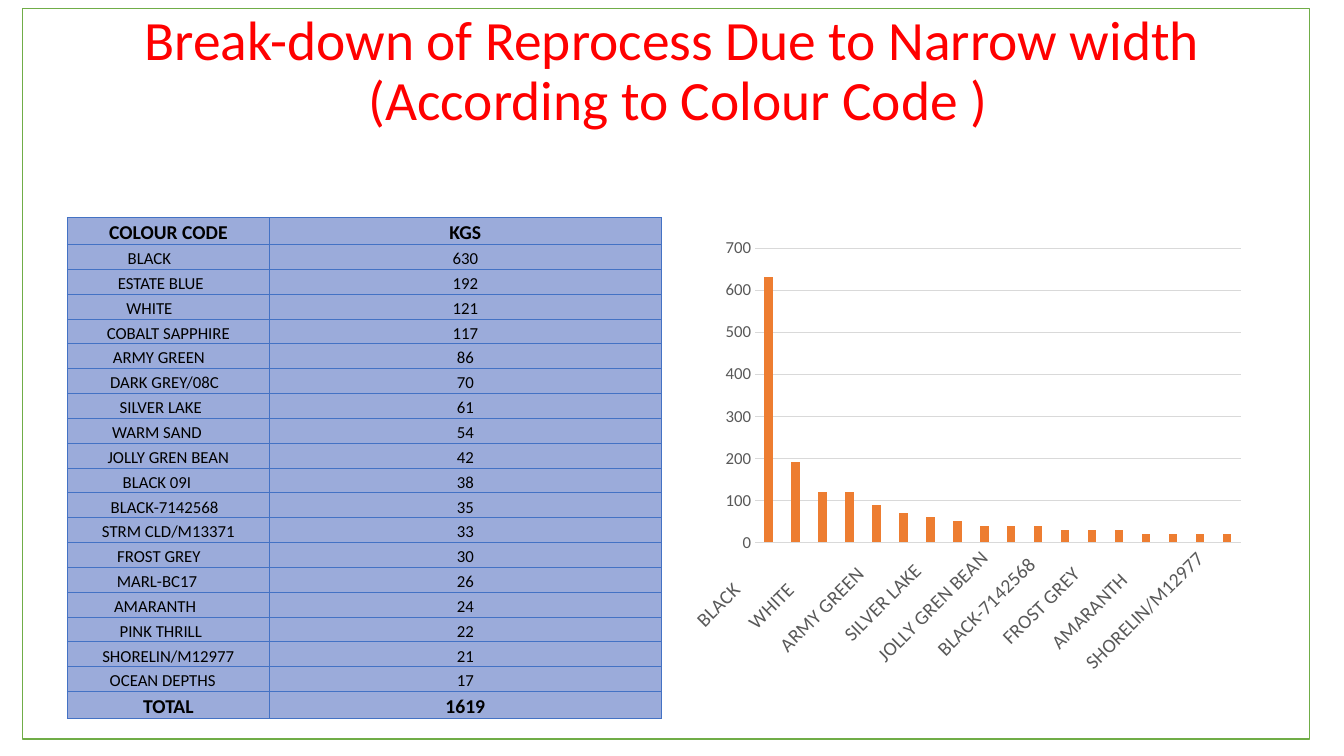
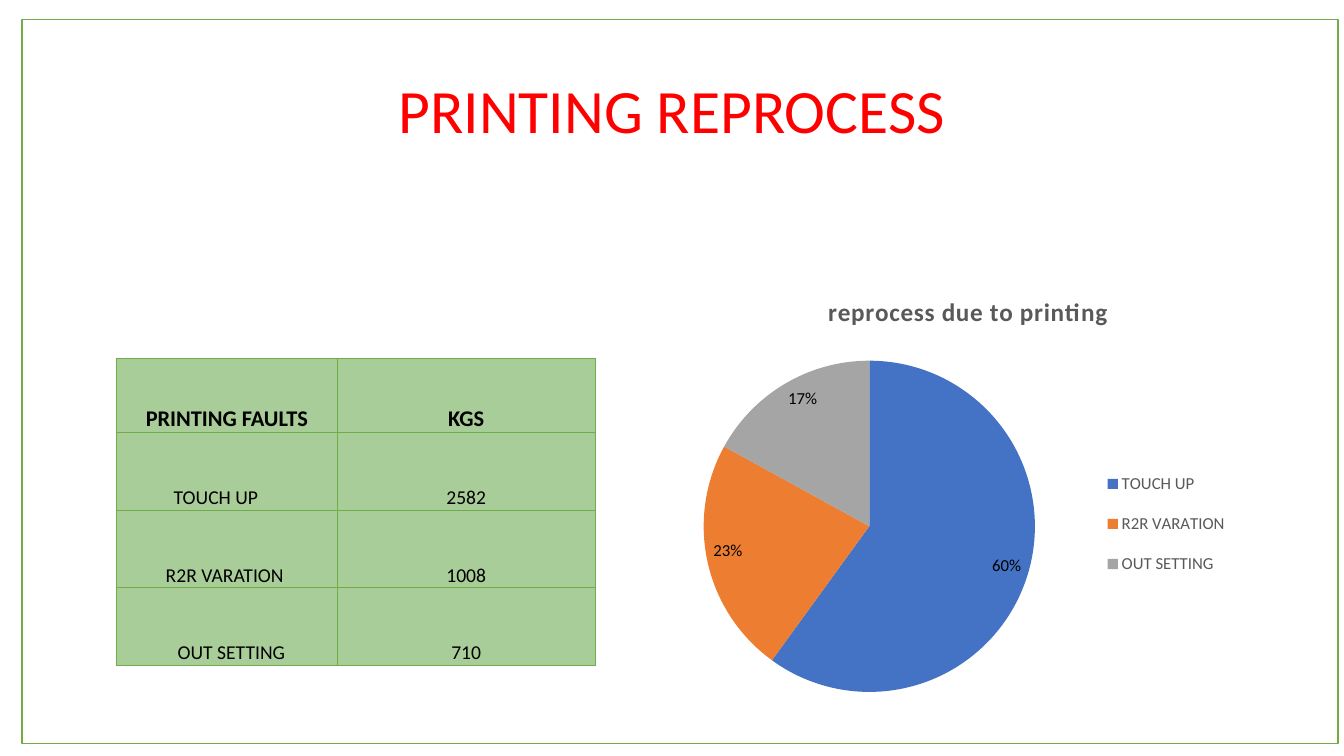
"""Two reprocess slides, each with a framed title, a table and a chart."""
from lxml import etree
from pptx import Presentation
from pptx.chart.data import CategoryChartData
from pptx.dml.color import RGBColor
from pptx.enum import chart as ch, shapes, text
from pptx.oxml.ns import qn
from pptx.util import Pt

FONT = "Calibri"
FIELD = 15
COLORS = dict(title="FF0000", frame="70AD47", black="000000", grey="595959", grid="D9D9D9",
              blue="4472C4", orange="ED7D31", silver="A5A5A5",
              blue_fill="9BABDA", green_fill="A9CD98")

WIDTH_TITLE = ["Break-down of Reprocess Due to Narrow width", " (According to Colour Code )"]
WIDTH_HEAD = ("COLOUR CODE", "KGS")
WIDTH_ROWS = [
    ("BLACK", 630), ("ESTATE BLUE", 192), ("WHITE", 121), ("COBALT SAPPHIRE", 117),
    ("ARMY GREEN", 86), ("DARK GREY/08C", 70), ("SILVER LAKE", 61), ("WARM SAND", 54),
    ("JOLLY GREN BEAN", 42), ("BLACK 09I", 38), ("BLACK-7142568", 35),
    ("STRM CLD/M13371", 33), ("FROST GREY", 30), ("MARL-BC17", 26), ("AMARANTH", 24),
    ("PINK THRILL", 22), ("SHORELIN/M12977", 21), ("OCEAN DEPTHS", 17),
]
WIDTH_TOTAL = ("TOTAL", 1619)

PRINT_TITLE = ["PRINTING REPROCESS"]
PRINT_HEAD = ("PRINTING FAULTS", "KGS")
PRINT_ROWS = [("TOUCH UP", 2582), ("R2R VARATION", 1008), ("OUT SETTING", 710)]
PRINT_CHART_TITLE = "reprocess due to printing"


def rgb(name):
    return RGBColor.from_string(COLORS[name])


def style(font, size, color="black", bold=False):
    font.name, font.size, font.bold = FONT, Pt(size), bold
    font.color.rgb = rgb(color)


def write(tf, lines, size, color="black", bold=False, line_spacing=None, spacing=None):
    for i, line in enumerate(lines):
        p = tf.paragraphs[0] if i == 0 else tf.add_paragraph()
        p.alignment = text.PP_ALIGN.CENTER
        if line_spacing:
            p.line_spacing = line_spacing
        r = p.add_run()
        r.text = line
        style(r.font, size, color, bold)
        if spacing:
            r._r.get_or_add_rPr().set("spc", str(spacing))


def add_slide(prs, lines, size, title_box, frame_box):
    s = prs.slides.add_slide(prs.slide_layouts[6])
    frame = s.shapes.add_shape(shapes.MSO_SHAPE.RECTANGLE, *map(Pt, frame_box))
    frame.shadow.inherit = False
    frame.fill.background()
    frame.line.color.rgb = rgb("frame")
    frame.line.width = Pt(1)
    tf = s.shapes.add_textbox(*map(Pt, title_box)).text_frame
    tf.word_wrap = True
    tf.vertical_anchor = text.MSO_ANCHOR.MIDDLE
    write(tf, lines, size, "title", line_spacing=0.9)
    return s


def add_borders(cell, color):
    tc_pr = cell._tc.get_or_add_tcPr()
    for side in ("lnL", "lnR", "lnT", "lnB"):
        ln = etree.SubElement(tc_pr, qn(f"a:{side}"), w=str(Pt(0.5)))
        fill = etree.SubElement(ln, qn("a:solidFill"))
        etree.SubElement(fill, qn("a:srgbClr"), val=COLORS[color])


def add_table(s, rows, left, top, widths, heights, sizes, bold_rows, fill, border, label_pads):
    """Label pads give the left and right inset of the first column in each row."""
    table = s.shapes.add_table(len(rows), len(widths), Pt(left), Pt(top),
                               Pt(sum(widths)), Pt(sum(heights))).table
    table.first_row = table.horz_banding = False
    for col, width in zip(table.columns, widths):
        col.width = Pt(width)
    for i, row in enumerate(rows):
        table.rows[i].height = Pt(heights[i])
        for j, value in enumerate(row):
            cell = table.cell(i, j)
            pads = label_pads[i] if j == 0 else (0.72, 0.72)
            cell.margin_left, cell.margin_right = map(Pt, pads)
            cell.margin_top, cell.margin_bottom = Pt(0.72), 0
            cell.vertical_anchor = text.MSO_ANCHOR.BOTTOM
            add_borders(cell, border)
            cell.fill.solid()
            cell.fill.fore_color.rgb = rgb(fill)
            bold = i in bold_rows
            write(cell.text_frame, [str(value)], sizes[bold], bold=bold)


def pad_labels(rows, left, space):
    """Shift short labels left, as if set in a field of fixed length."""
    return [(left, round(0.72 + space * (FIELD - len(label)), 2)) for label, _ in rows]


def place(element, index, inner=False, **parts):
    for old in element.findall(qn("c:layout")):
        element.remove(old)
    layout = etree.Element(qn("c:layout"))
    manual = etree.SubElement(layout, qn("c:manualLayout"))
    if inner:
        etree.SubElement(manual, qn("c:layoutTarget"), val="inner")
    for mode in ("xMode", "yMode"):
        etree.SubElement(manual, qn(f"c:{mode}"), val="edge")
    for key, value in parts.items():
        etree.SubElement(manual, qn(f"c:{key}"), val=str(value))
    element.insert(index, layout)


def add_chart(s, kind, rows, box, **plot_area):
    data = CategoryChartData(number_format="0")
    data.categories = [label for label, _ in rows]
    data.add_series("Series 1", [value for _, value in rows])
    chart = s.shapes.add_chart(kind, *map(Pt, box), data).chart
    style(chart.font, 10)
    chart.has_title = chart.has_legend = False
    place(chart._chartSpace.chart.plotArea, 0, inner=True, **plot_area)
    return chart


def paint(fmt, color):
    fmt.fill.solid()
    fmt.fill.fore_color.rgb = rgb(color)


def draw_line(fmt, color):
    fmt.line.color.rgb = rgb(color)
    fmt.line.width = Pt(0.75)


def build_width_slide(prs):
    s = add_slide(prs, WIDTH_TITLE, 39.6, (66, 4, 828, 96), (16, 6, 919.5, 522))
    rows = [WIDTH_HEAD, *WIDTH_ROWS, WIDTH_TOTAL]
    plain = (0.72, 0.72)
    add_table(s, rows, 48, 155.3, (144.6, 279.6), [19.2, *[17.75] * len(WIDTH_ROWS), 19.2],
              (12, 14), (0, len(rows) - 1), "blue_fill", "blue",
              [plain, *pad_labels(WIDTH_ROWS, 0.72, 2.71), plain])

    bars = [(label.ljust(FIELD), round(kgs, -1)) for label, kgs in WIDTH_ROWS]
    chart = add_chart(s, ch.XL_CHART_TYPE.COLUMN_CLUSTERED, bars, (486.3, 164.3, 408, 323.5),
                      x=0.13, y=0.04, w=0.85, h=0.65)
    plot = chart.plots[0]
    plot.gap_width, plot.overlap, plot.vary_by_categories = 219, -27, False
    paint(plot.series[0].format, "orange")
    cat, val = chart.category_axis, chart.value_axis
    for axis, size in ((cat, 14), (val, 12)):
        axis.major_tick_mark = axis.minor_tick_mark = ch.XL_TICK_MARK.NONE
        style(axis.tick_labels.font, size, "grey")
    cat._element.find(qn("c:txPr")).find(qn("a:bodyPr")).set("rot", "-2700000")
    draw_line(cat.format, "grid")
    val.format.line.fill.background()
    val.has_major_gridlines = True
    draw_line(val.major_gridlines.format, "grid")


def build_printing_slide(prs):
    s = add_slide(prs, PRINT_TITLE, 44, (66, 28.8, 828, 104.4), (15.8, 14, 940, 517))
    add_table(s, [PRINT_HEAD, *PRINT_ROWS], 83.2, 256, (157.7, 184.3),
              [52.8, *[55.4] * len(PRINT_ROWS)], (14, 16), (0,), "green_fill", "frame",
              [(0.72, 0.72), *pad_labels(PRINT_ROWS[:2], 7.2, 3.16), (7.2, 0.72)])

    total = sum(kgs for _, kgs in PRINT_ROWS)
    shares = [(label, round(100 * kgs / total)) for label, kgs in PRINT_ROWS]
    chart = add_chart(s, ch.XL_CHART_TYPE.PIE, shares, (486.3, 197.3, 408, 334),
                      x=0.04, y=0.18, w=0.58, h=0.71)
    chart.has_title = True
    write(chart.chart_title.text_frame, [PRINT_CHART_TITLE], 18, "grey", bold=True, spacing=50)
    place(chart.chart_title._element, 1, x=0.25, y=0.03)
    chart.has_legend = True
    legend = chart.legend
    legend.position = ch.XL_LEGEND_POSITION.RIGHT
    legend.include_in_layout = False
    style(legend.font, 12, "grey")
    place(legend._element, 1, x=0.73, y=0.38, w=0.24, h=0.3)

    plot = chart.plots[0]
    plot.vary_by_categories = True
    for i, color in enumerate(("blue", "orange", "silver")):
        paint(plot.series[0].points[i].format, color)
    plot.has_data_labels = True
    labels = plot.data_labels
    labels.show_percentage, labels.show_value = True, False
    labels.number_format, labels.number_format_is_linked = "0%", False
    labels.position = ch.XL_LABEL_POSITION.INSIDE_END
    style(labels.font, 12)


def main():
    prs = Presentation()
    prs.slide_width, prs.slide_height = Pt(960), Pt(540)
    build_width_slide(prs)
    build_printing_slide(prs)
    prs.save("out.pptx")


if __name__ == "__main__":
    main()
